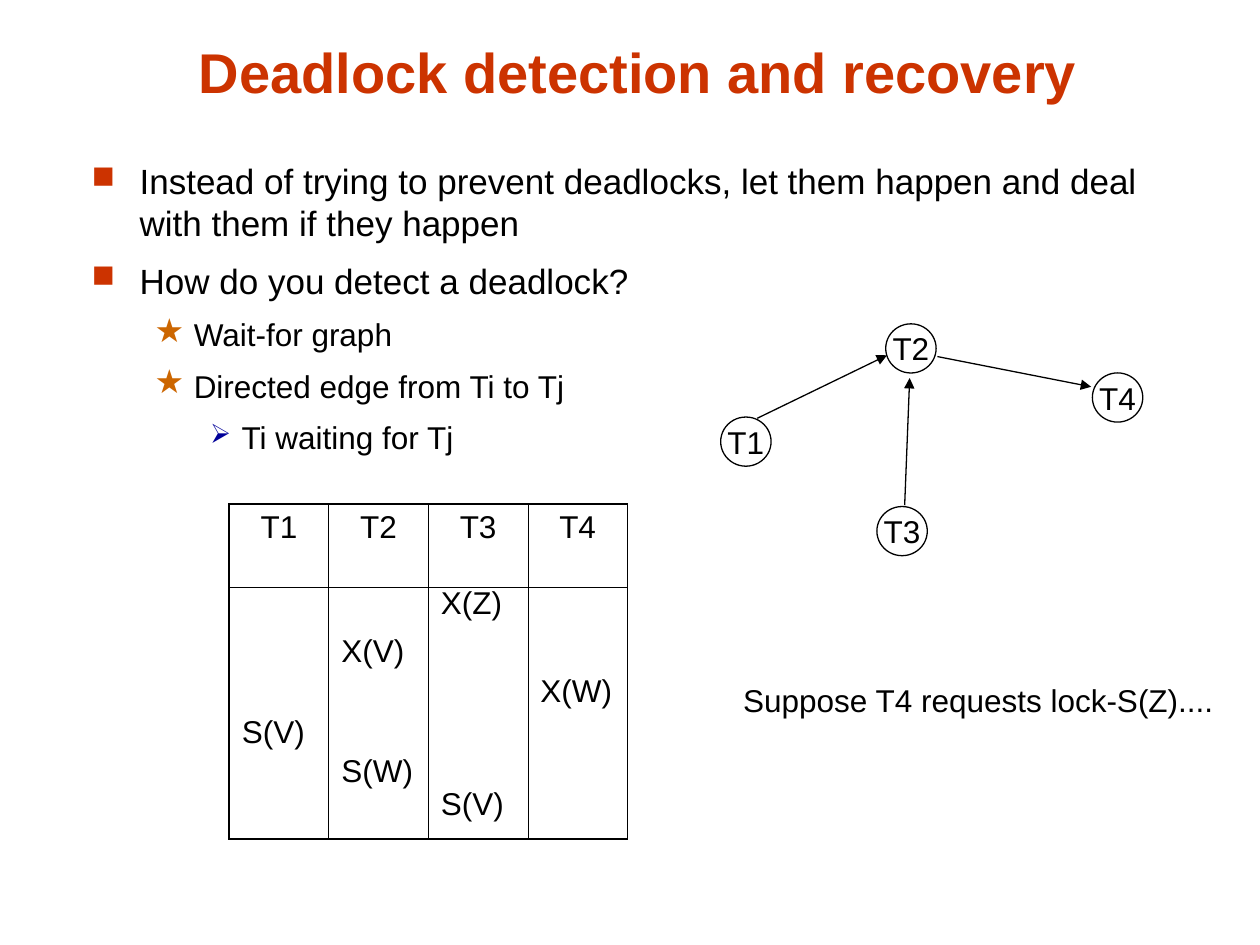
from dataclasses import dataclass

from lxml import etree
from pptx import Presentation
from pptx import util as u
from pptx.dml.color import RGBColor
from pptx.enum import shapes, text
from pptx.oxml import ns


@dataclass(frozen=True)
class Theme:
    font: str = "Arial"
    ink: str = "000000"
    accent: str = "CC3300"
    title_size: int = 32
    point_size: int = 20
    text_size: int = 18
    line: float = 0.75
    grid_inner: float = 0.45
    grid_outer: float = 1.08


@dataclass(frozen=True)
class Level:
    bullet: str
    color: str
    scale: int
    left: float
    hang: float
    size: int
    before: float


THEME = Theme()
LEVELS = (
    Level("■", THEME.accent, 90, 0.38, 0.38, THEME.point_size, 8.8),
    Level("★", "CC6600", 105, 0.81, 0.31, THEME.text_size, 7.9),
    Level("➢", "000099", 85, 1.19, 0.25, THEME.text_size, 7.9),
)


def add_xml(parent, tag, **attributes):
    return etree.SubElement(parent, ns.qn(tag), attributes)


class SlideBuilder:
    def __init__(self, slide, theme):
        self.slide = slide
        self.theme = theme

    def run(self, paragraph, words, size=None, color=None, bold=False):
        run = paragraph.add_run()
        run.text = words
        run.font.name = self.theme.font
        run.font.size = u.Pt(size or self.theme.text_size)
        run.font.bold = bold
        run.font.color.rgb = RGBColor.from_string(color or self.theme.ink)

    def title(self, words, left, top, width, height):
        heading = self.slide.shapes.title
        heading.left, heading.top = u.Inches(left), u.Inches(top)
        heading.width, heading.height = u.Inches(width), u.Inches(height)
        frame = heading.text_frame
        frame.auto_size = text.MSO_AUTO_SIZE.NONE
        frame.vertical_anchor = text.MSO_ANCHOR.BOTTOM
        frame.paragraphs[0].alignment = text.PP_ALIGN.CENTER
        self.run(frame.paragraphs[0], words, self.theme.title_size,
                 self.theme.accent, True)

    def text_box(self, left, top, width, height, wrap=True):
        box = self.slide.shapes.add_textbox(
            u.Inches(left), u.Inches(top), u.Inches(width), u.Inches(height))
        box.text_frame.word_wrap = wrap
        return box.text_frame

    def outline(self, points, left, top, width, height):
        frame = self.text_box(left, top, width, height)
        for i, (depth, words) in enumerate(points):
            level = LEVELS[depth]
            paragraph = frame.add_paragraph() if i else frame.paragraphs[0]
            paragraph.level = depth
            paragraph.space_before = u.Pt(level.before)
            props = paragraph._p.get_or_add_pPr()
            props.set("marL", str(u.Inches(level.left)))
            props.set("indent", str(-u.Inches(level.hang)))
            color = add_xml(props, "a:buClr")
            add_xml(color, "a:srgbClr", val=level.color)
            add_xml(props, "a:buSzPct", val=str(level.scale * 1000))
            add_xml(props, "a:buChar", char=level.bullet)
            self.run(paragraph, words, level.size)

    def label(self, words, left, top, width, height):
        frame = self.text_box(left, top, width, height, wrap=False)
        self.run(frame.paragraphs[0], words)

    def node(self, name, left, top, width=0.4, height=0.39):
        circle = self.slide.shapes.add_shape(
            shapes.MSO_SHAPE.OVAL, u.Inches(left), u.Inches(top),
            u.Inches(width), u.Inches(height))
        circle.shadow.inherit = False
        circle.fill.background()
        circle.line.color.rgb = RGBColor.from_string(self.theme.ink)
        circle.line.width = u.Pt(self.theme.line)
        frame = circle.text_frame
        frame.word_wrap = False
        frame.margin_left = frame.margin_right = 0
        frame.margin_top = frame.margin_bottom = 0
        frame.vertical_anchor = text.MSO_ANCHOR.MIDDLE
        frame.paragraphs[0].alignment = text.PP_ALIGN.CENTER
        self.run(frame.paragraphs[0], name)

    def arrow(self, start, end):
        edge = self.slide.shapes.add_connector(
            shapes.MSO_CONNECTOR.STRAIGHT,
            *(u.Inches(value) for value in (*start, *end)))
        edge.line.color.rgb = RGBColor.from_string(self.theme.ink)
        edge.line.width = u.Pt(self.theme.line)
        add_xml(edge.line._get_or_add_ln(), "a:tailEnd", type="triangle")
        add_xml(edge._element.spPr, "a:effectLst")

    def borders(self, cell, outer_sides):
        props = cell._tc.get_or_add_tcPr()
        for side in "LRTB":
            outer = side in outer_sides
            width = self.theme.grid_outer if outer else self.theme.grid_inner
            line = add_xml(props, f"a:ln{side}", w=str(u.Pt(width)))
            fill = add_xml(line, "a:solidFill")
            add_xml(fill, "a:srgbClr", val=self.theme.ink)

    def schedule(self, columns, left, top, column_width, row_heights):
        """Columns map a transaction to its (time step, lock) pairs."""
        step, first_gap, spacing = 0.32, 0.06, 0.75
        line_height = spacing * self.theme.text_size * 1.15
        count = len(columns)
        table = self.slide.shapes.add_table(
            2, count, u.Inches(left), u.Inches(top),
            u.Inches(column_width * count), u.Inches(sum(row_heights))).table
        table.first_row = table.horz_banding = False
        for row, height in zip(table.rows, row_heights):
            row.height = u.Inches(height)
        for i, (name, locks) in enumerate(columns.items()):
            table.columns[i].width = u.Inches(column_width)
            sides = ("L" if i == 0 else "") + ("R" if i == count - 1 else "")
            header, body = table.cell(0, i), table.cell(1, i)
            for cell, edge in ((header, "T"), (body, "B")):
                self.borders(cell, sides + edge)
                cell.fill.background()
            heading = header.text_frame.paragraphs[0]
            heading.alignment = text.PP_ALIGN.CENTER
            self.run(heading, name)

            # Each lock sits at the height of its time step
            first = locks[0][0]
            body.margin_top = u.Inches(
                0.05 + step * first + (first_gap if first else 0))
            previous = first
            for n, (time, lock) in enumerate(locks):
                frame = body.text_frame
                paragraph = frame.add_paragraph() if n else frame.paragraphs[0]
                paragraph.line_spacing = spacing
                if n:
                    gap = (time - previous) * step * 72 - line_height
                    paragraph.space_before = u.Pt(round(gap, 1))
                self.run(paragraph, lock)
                previous = time


def main():
    deck = Presentation()
    deck.slide_width, deck.slide_height = u.Inches(10), u.Inches(7.5)
    page = SlideBuilder(deck.slides.add_slide(deck.slide_layouts[5]), THEME)

    # Title and outline
    page.title("Deadlock detection and recovery", 0.65, 0.21, 8.83, 0.67)
    page.outline([
        (0, "Instead of trying to prevent deadlocks, let them happen and deal "
            "with them if they happen"),
        (0, "How do you detect a deadlock?"),
        (1, "Wait-for graph"),
        (1, "Directed edge from Ti to Tj"),
        (2, "Ti waiting for Tj"),
    ], 0.63, 1.22, 9.03, 6.28)

    # Lock schedule
    page.schedule({
        "T1": [(3, "S(V)")],
        "T2": [(1, "X(V)"), (4, "S(W)")],
        "T3": [(0, "X(Z)"), (5, "S(V)")],
        "T4": [(2, "X(W)")],
    }, 1.82, 4, 0.79, (0.66, 2))

    # Wait-for graph
    for name, left, top in (("T1", 5.72, 3.31), ("T2", 7.03, 2.57),
                            ("T4", 8.67, 2.96), ("T3", 6.96, 4.02)):
        page.node(name, left, top)
    for start, end in (((6.01, 3.32), (7.04, 2.82)),
                       ((7.18, 4.01), (7.22, 3)),
                       ((7.44, 2.83), (8.66, 3.07))):
        page.arrow(start, end)

    # Follow-up question
    page.label("Suppose T4 requests lock-S(Z)....", 5.8, 5.36, 3.94, 0.4)
    deck.save("out.pptx")


if __name__ == "__main__":
    main()
